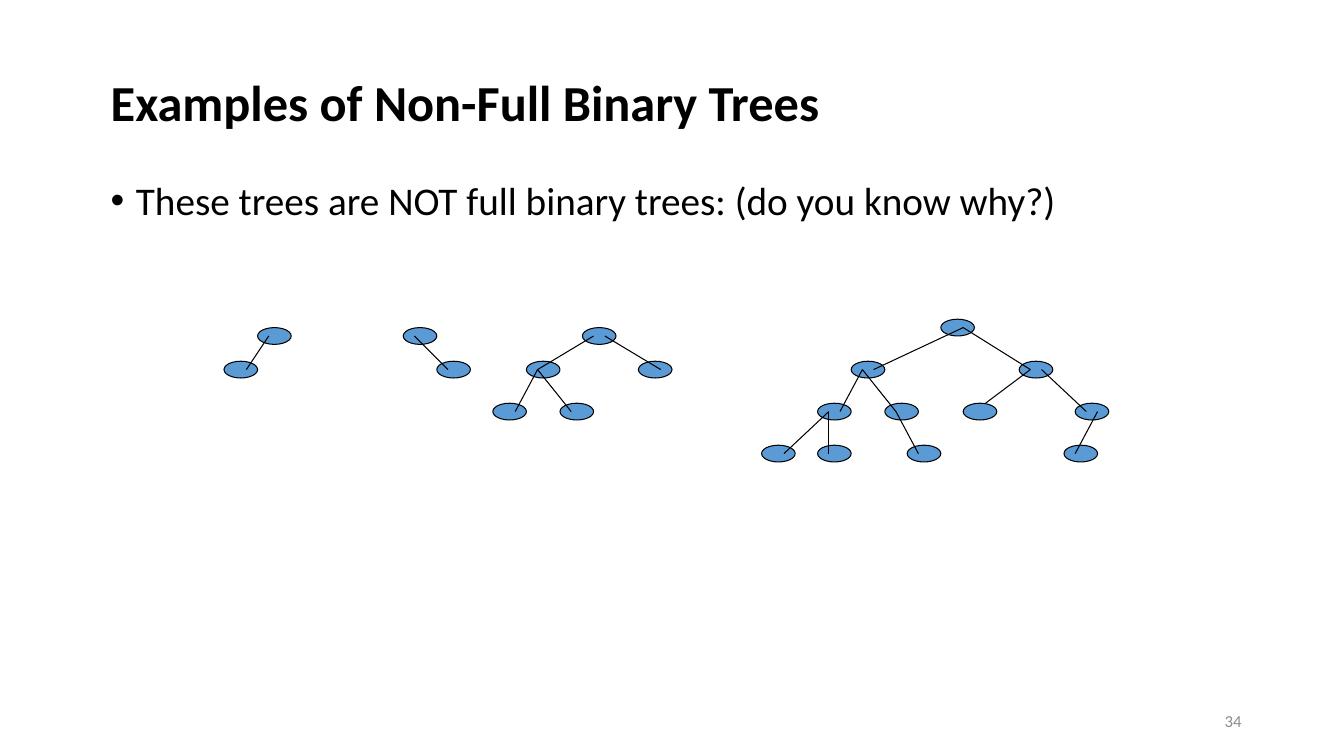
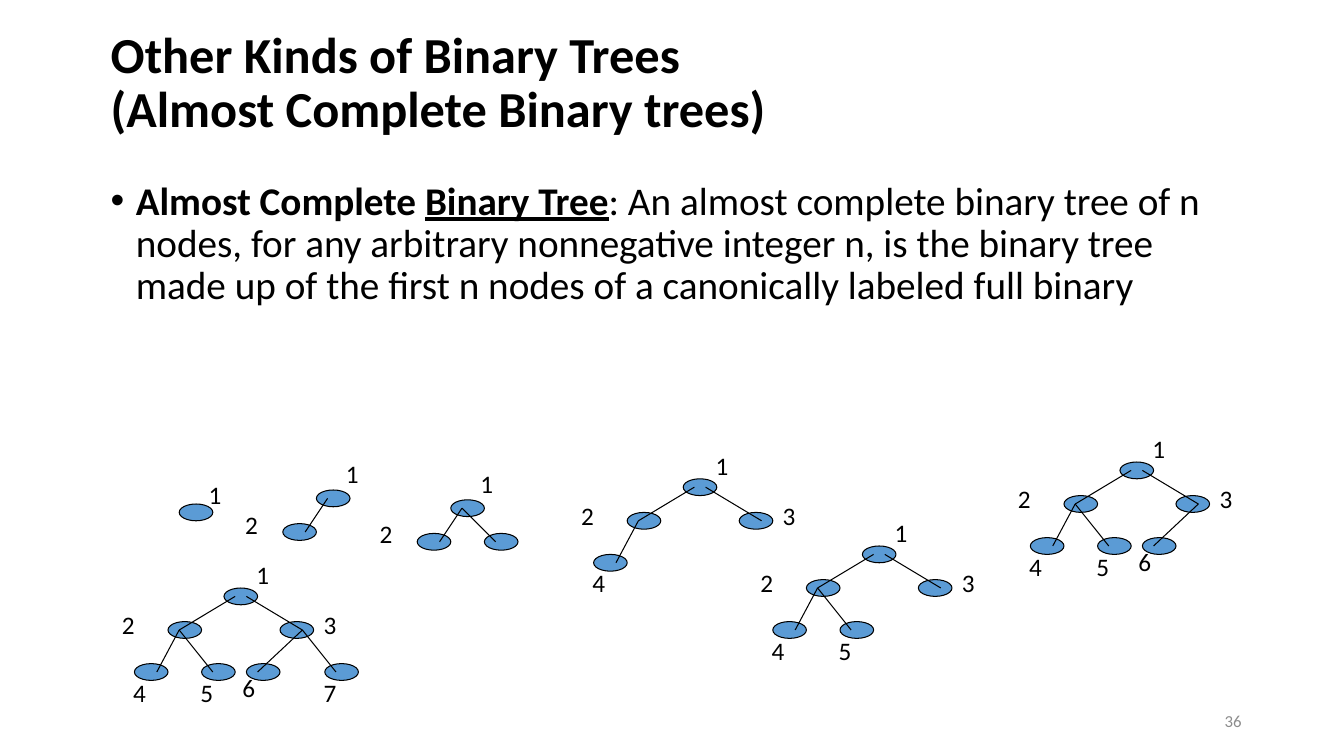
import lxml.etree
import pptx
import pptx.dml.color
import pptx.enum.shapes
import pptx.enum.text
import pptx.oxml.ns
import pptx.util

PX = 12700  # 72 px to the inch
FONT = "Calibri"
INK = {"text": "000000", "node": "5B9BD5", "number": "8C8C8C"}
NODE_W, NODE_H = 24, 12

# Where an edge meets a node, measured from the node's top left corner
PORTS = {"L": (8, 6), "R": (16, 6), "T": (16, 0)}

# Each node: offset from the root, parent index, ports at parent and child,
# offset of its label from the node
FULL = [
    ((0, 0), None, "", (16, -24)),
    ((-40, 24), 0, "LL", (-40, -12)),
    ((40, 24), 0, "RR", (24, -12)),
    ((-64, 54), 1, "LR", (-8, 6)),
    ((-16, 54), 1, "LL", (-8, 6)),
    ((16, 54), 2, "RL", (-10, 3)),
    ((72, 54), 2, "RL", (-8, 6)),
]
SINGLE = [((0, 0), None, "", (14, -21))]
SMALL = [
    ((0, 0), None, "", (14, -26)),
    ((-24, 24), 0, "LR", (-34, -14)),
    ((24, 24), 0, "LL", None),
]
RIGHT = [
    ((0, 0), None, "", None),
    ((24, 24), 0, "LL", None),
]
LARGE = [
    ((0, 0), None, "", None),
    ((-64, 30), 0, "RR", None),
    ((56, 30), 0, "RL", None),
    ((-88, 60), 1, "LR", None),
    ((-40, 60), 1, "LL", None),
    ((16, 60), 2, "LT", None),
    ((96, 60), 2, "RL", None),
    ((-128, 90), 3, "LR", None),
    ((-88, 90), 3, "LL", None),
    ((-24, 90), 4, "LL", None),
    ((88, 90), 6, "RL", None),
]

# Body runs: text, bold, underline. Trees: nodes, root left, root top
SLIDES = [
    {
        "number": "34",
        "title": "Examples of Non-Full Binary Trees",
        "title_box": (72, 48, 816, 54),
        "body": [("These trees are NOT full binary trees: (do you know why?)", False, False)],
        "labels": False,
        "trees": [
            (SMALL[:2], 184, 234),
            (RIGHT, 288, 234),
            (FULL[:5], 416, 234),
            (LARGE, 672, 228),
        ],
    },
    {
        "number": "36",
        "title": "Other Kinds of Binary Trees\v(Almost Complete Binary trees)",
        "title_box": (72, 24, 816, 72),
        "body": [
            ("Almost Complete ", True, False),
            ("Binary Tree", True, True),
            (": An almost complete binary tree of n nodes, for any arbitrary "
             "nonnegative integer n, is the binary tree made up of the first n "
             "nodes of a canonically labeled full binary", False, False),
        ],
        "labels": True,
        "trees": [
            (SINGLE, 128, 360),
            (SMALL[:2], 226, 350),
            (SMALL, 322, 357),
            (FULL[:4], 488, 342),
            (FULL[:5], 616, 390),
            (FULL[:6], 800, 330),
            (FULL, 160, 420),
        ],
    },
]


def px(*lengths):
    return [pptx.util.Emu(n * PX) for n in lengths]


def color(name):
    return pptx.dml.color.RGBColor.from_string(INK[name])


def style(run, size, ink="text", bold=False, under=False):
    font = run.font
    font.name, font.size = FONT, pptx.util.Pt(size)
    font.bold, font.underline = bold, under
    font.color.rgb = color(ink)


def add_text(slide, box, text, size, wrap=True, middle=False, **look):
    """Add a text box with one styled paragraph and return that paragraph."""
    frame = slide.shapes.add_textbox(*px(*box)).text_frame
    frame.word_wrap = wrap
    if middle:
        frame.vertical_anchor = pptx.enum.text.MSO_ANCHOR.MIDDLE
    para = frame.paragraphs[0]
    para.text = text
    for run in para.runs:
        style(run, size, **look)
    return para


def add_body(slide, parts):
    para = add_text(slide, (72, 126, 816, 354), "", 28)
    para.line_spacing = 0.9
    para.space_before = pptx.util.Pt(10)
    for text, bold, under in parts:
        run = para.add_run()
        run.text = text
        style(run, 28, bold=bold, under=under)
    props = para._p.get_or_add_pPr()
    props.set("marL", str(18 * PX))
    props.set("indent", str(-18 * PX))
    qn = pptx.oxml.ns.qn
    lxml.etree.SubElement(props, qn("a:buFont")).set("typeface", "Arial")
    lxml.etree.SubElement(props, qn("a:buChar")).set("char", "•")


def add_node(slide, left, top):
    node = slide.shapes.add_shape(
        pptx.enum.shapes.MSO_SHAPE.OVAL, *px(left, top, NODE_W, NODE_H))
    node.shadow.inherit = False
    node.fill.solid()
    node.fill.fore_color.rgb = color("node")
    node.line.color.rgb = color("text")
    node.line.width = pptx.util.Pt(0.75)


def add_edge(slide, start, end):
    edge = slide.shapes.add_connector(
        pptx.enum.shapes.MSO_CONNECTOR.STRAIGHT, *px(*start, *end))
    edge.line.color.rgb = color("text")
    edge.line.width = pptx.util.Pt(0.75)
    lxml.etree.SubElement(edge._element.spPr, pptx.oxml.ns.qn("a:effectLst"))


def shift(point, by):
    return point[0] + by[0], point[1] + by[1]


def add_tree(slide, nodes, left, top, labels):
    spots = [shift((left, top), node[0]) for node in nodes]
    for spot in spots:
        add_node(slide, *spot)
    for index, (_, parent, ports, label) in enumerate(nodes):
        spot = spots[index]
        if parent is not None:
            add_edge(slide, shift(spots[parent], PORTS[ports[0]]),
                     shift(spot, PORTS[ports[1]]))
        if labels and label:
            add_text(slide, (*shift(spot, label), 24, 29), str(index + 1), 18, wrap=False)


def main():
    deck = pptx.Presentation()
    deck.slide_width, deck.slide_height = px(960, 540)
    for page in SLIDES:
        slide = deck.slides.add_slide(deck.slide_layouts[6])
        number = add_text(slide, (678, 500, 216, 29), page["number"], 12,
                          middle=True, ink="number")
        number.alignment = pptx.enum.text.PP_ALIGN.RIGHT
        title = add_text(slide, page["title_box"], page["title"], 36,
                         middle=True, bold=True)
        title.line_spacing = 0.9
        add_body(slide, page["body"])
        for nodes, left, top in page["trees"]:
            add_tree(slide, nodes, left, top, page["labels"])
    deck.save("out.pptx")


if __name__ == "__main__":
    main()
